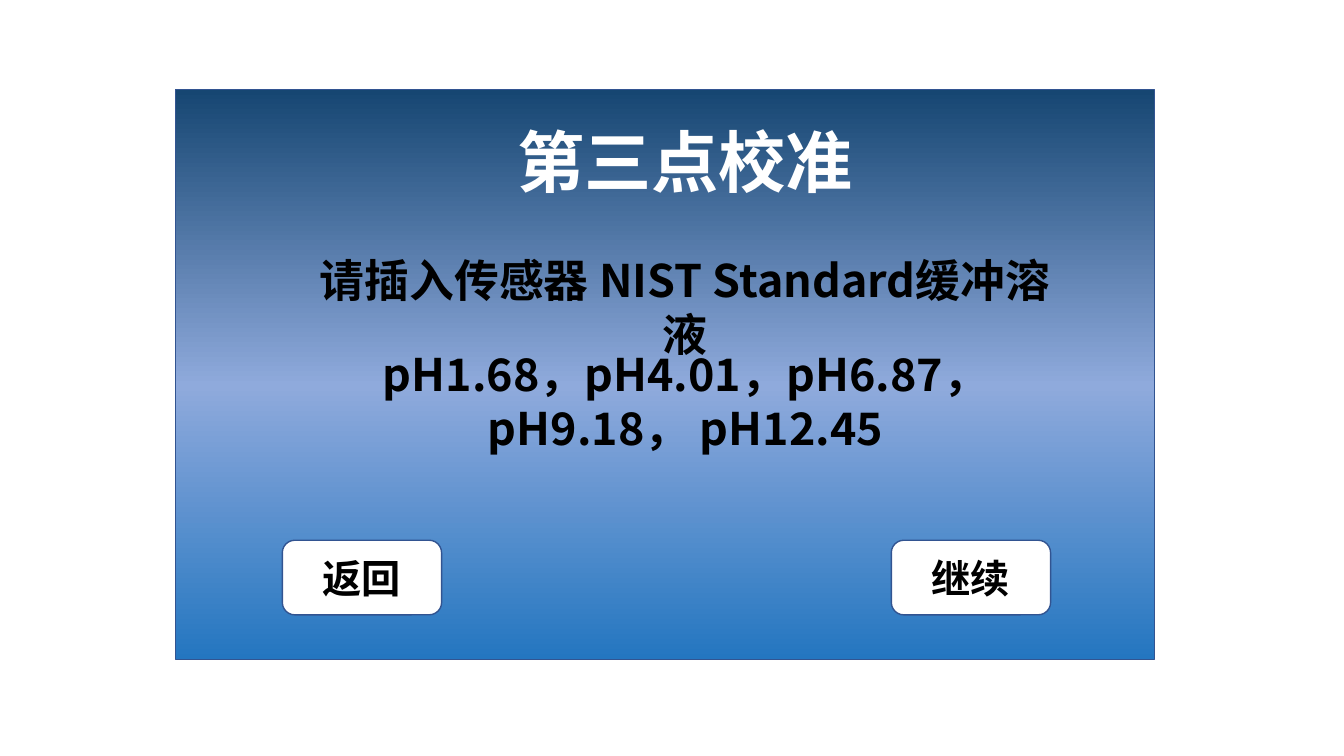
from copy import deepcopy
from pptx import Presentation
from pptx.dml.color import RGBColor
from pptx.enum.shapes import MSO_SHAPE
from pptx.enum.text import MSO_ANCHOR, PP_ALIGN
from pptx.oxml.ns import qn
from pptx.util import Inches, Pt

THEME = {
    "white": RGBColor.from_string("FFFFFF"),
    "black": RGBColor.from_string("000000"),
    "outline": RGBColor.from_string("325491"),
    "gradient": [(0, "164672"), (0.52, "8FAADC"), (1, "2476C0")],
    "title_font": "Calibri",
    "body_font": "Noto Sans CJK SC",
    "title_size": Pt(48),
    "body_size": Pt(32),
    "button_size": Pt(28),
}


def add_panel(shape_type, left, top, width, height):
    sp = slide.shapes.add_shape(
        shape_type, Inches(left), Inches(top), Inches(width), Inches(height))
    sp.shadow.inherit = False
    sp.line.color.rgb = THEME["outline"]
    sp.line.width = Pt(1)
    return sp


def write_text(sp, text, size, color, font, wrap=True):
    tf = sp.text_frame
    tf.word_wrap = wrap
    p = tf.paragraphs[0]
    p.text = text
    p.alignment = PP_ALIGN.CENTER
    p.font.name = font
    p.font.size = size
    p.font.bold = True
    p.font.color.rgb = color


prs = Presentation()
prs.slide_width = Inches(13.33)
prs.slide_height = Inches(7.5)
slide = prs.slides.add_slide(prs.slide_layouts[6])

screen = add_panel(MSO_SHAPE.RECTANGLE, 1.74, 0.89, 9.71, 5.65)
screen.fill.gradient()
screen.fill.gradient_angle = 270
stop_list = screen._element.spPr.find(qn("a:gradFill")).find(qn("a:gsLst"))
stop_list.append(deepcopy(stop_list[-1]))
for stop, (position, color) in zip(screen.fill.gradient_stops, THEME["gradient"]):
    stop.position = position
    stop.color.rgb = RGBColor.from_string(color)

title = slide.shapes.add_textbox(Inches(5.01), Inches(1.14), Inches(3.57), Inches(0.91))
write_text(title, "第三点校准", THEME["title_size"], THEME["white"],
           THEME["title_font"], wrap=False)

messages = [
    ("请插入传感器 NIST Standard缓冲溶液", 2.86, 2.46, 7.87, 0.64),
    ("pH1.68，pH4.01，pH6.87，pH9.18， pH12.45", 3.7, 3.39, 6.2, 1.18),
]
for text, left, top, width, height in messages:
    box = slide.shapes.add_textbox(
        Inches(left), Inches(top), Inches(width), Inches(height))
    write_text(box, text, THEME["body_size"], THEME["black"], THEME["body_font"])

for label, left in [("返回", 2.8), ("继续", 8.84)]:
    button = add_panel(MSO_SHAPE.ROUNDED_RECTANGLE, left, 5.36, 1.58, 0.74)
    button.fill.solid()
    button.fill.fore_color.rgb = THEME["white"]
    button.text_frame.vertical_anchor = MSO_ANCHOR.MIDDLE
    write_text(button, label, THEME["button_size"], THEME["black"], THEME["body_font"])

prs.save("out.pptx")
